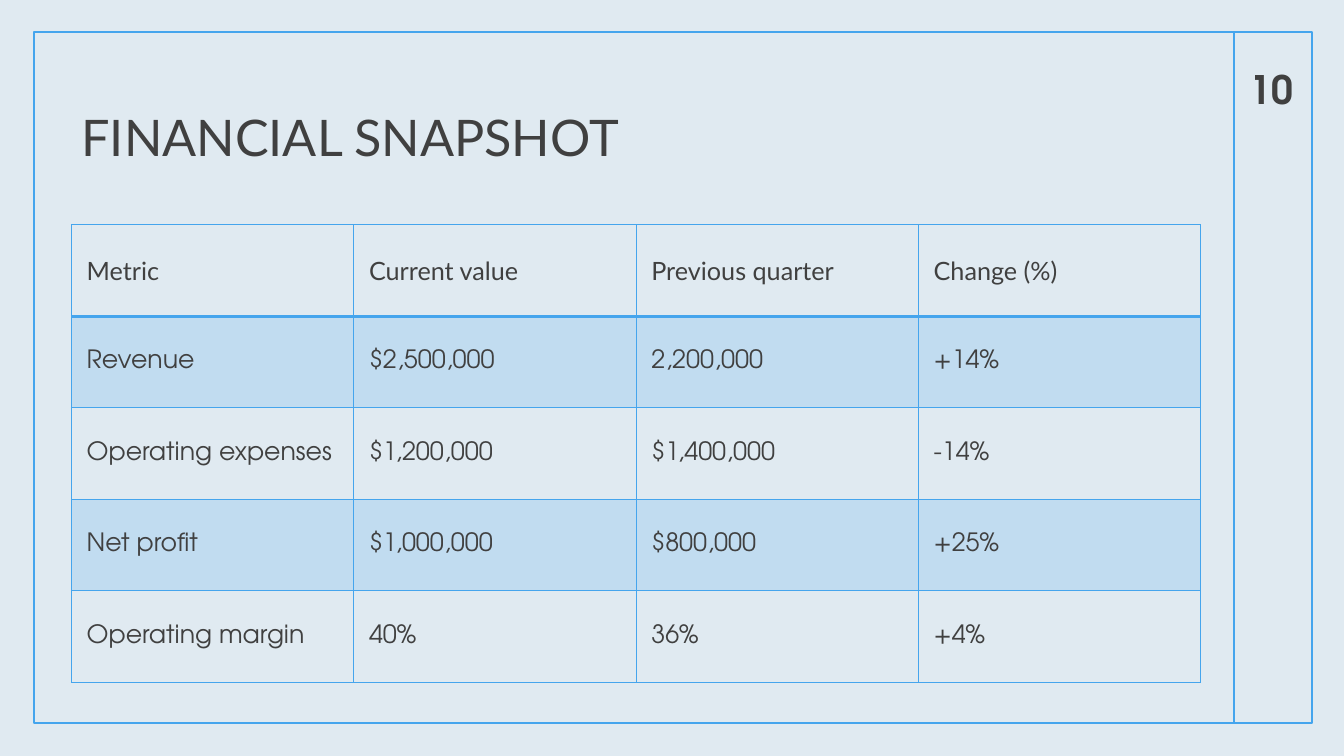
"""Build the financial snapshot slide with its framed quarterly table."""
from lxml import etree
from pptx import Presentation
from pptx.dml.color import RGBColor
from pptx.enum import shapes, text
from pptx.oxml import ns
from pptx.util import Inches, Pt

COLORS = {"background": "F2F2F2", "accent": "45A5ED", "text": "404040"}
HEADING_FONT = "Lato"
BODY_FONT = "TeX Gyre Adventor"
METRICS = [
    ["Metric", "Current value", "Previous quarter", "Change (%)"],
    ["Revenue", "$2,500,000", "2,200,000", "+14%"],
    ["Operating expenses", "$1,200,000", "$1,400,000", "-14%"],
    ["Net profit", "$1,000,000", "$800,000", "+25%"],
    ["Operating margin", "40%", "36%", "+4%"],
]


def rgb(name):
    return RGBColor.from_string(COLORS[name])


def fill_tint(fill, percent):
    fill.solid()
    fill.fore_color.rgb = rgb("accent")
    color = fill._xPr.find(".//" + ns.qn("a:srgbClr"))
    etree.SubElement(color, ns.qn("a:alpha"), val=str(percent * 1000))


def style_line(line):
    line.color.rgb = rgb("accent")
    line.width = Pt(1.25)


def style_text(text_frame, font_name, size, bold=False):
    for paragraph in text_frame.paragraphs:
        for run in paragraph.runs:
            run.font.name = font_name
            run.font.size = Pt(size)
            run.font.bold = bold
            run.font.color.rgb = rgb("text")


def add_rectangle(slide, left, top, width, height):
    shape = slide.shapes.add_shape(
        shapes.MSO_SHAPE.RECTANGLE,
        Inches(left), Inches(top), Inches(width), Inches(height))
    shape.shadow.inherit = False
    return shape


def add_frame(slide):
    tint = add_rectangle(slide, 0, 0, 13.33, 7.5)
    fill_tint(tint.fill, 10)
    tint.line.fill.background()
    divider = slide.shapes.add_connector(
        shapes.MSO_CONNECTOR.STRAIGHT,
        Inches(12.24), Inches(0.32), Inches(12.24), Inches(7.17))
    style_line(divider.line)
    etree.SubElement(divider._element.spPr, ns.qn("a:effectLst"))
    border = add_rectangle(slide, 0.34, 0.32, 12.67, 6.85)
    border.fill.background()
    style_line(border.line)


def add_text(slide, words, left, top, width, height, font_name, size,
             anchor, align, bold=False):
    box = slide.shapes.add_textbox(
        Inches(left), Inches(top), Inches(width), Inches(height))
    text_frame = box.text_frame
    text_frame.word_wrap = True
    text_frame.vertical_anchor = anchor
    text_frame.text = words
    text_frame.paragraphs[0].alignment = align
    style_text(text_frame, font_name, size, bold)


def set_borders(cell, bottom_width):
    properties = cell._tc.get_or_add_tcPr()
    widths = {"lnL": 1, "lnR": 1, "lnT": 1, "lnB": bottom_width}
    for position, (side, width) in enumerate(widths.items()):
        line = etree.Element(ns.qn("a:" + side), w=str(Pt(width)))
        solid = etree.SubElement(line, ns.qn("a:solidFill"))
        etree.SubElement(solid, ns.qn("a:srgbClr"), val=COLORS["accent"])
        properties.insert(position, line)


def fill_cell(cell, words, row):
    cell.text_frame.text = words
    style_text(cell.text_frame, BODY_FONT if row else HEADING_FONT, 18)
    cell.vertical_anchor = text.MSO_ANCHOR.MIDDLE
    cell.margin_left = Inches(0.15)
    if row % 2:
        fill_tint(cell.fill, 20)
    else:
        cell.fill.background()
    set_borders(cell, 1 if row else 2)


def add_metrics_table(slide):
    table = slide.shapes.add_table(
        len(METRICS), len(METRICS[0]),
        Inches(0.71), Inches(2.23), Inches(11.2), Inches(4.54)).table
    for row, values in enumerate(METRICS):
        for column, words in enumerate(values):
            fill_cell(table.cell(row, column), words, row)


def main():
    presentation = Presentation()
    presentation.slide_width = Inches(13.33)
    presentation.slide_height = Inches(7.5)
    slide = presentation.slides.add_slide(presentation.slide_layouts[6])
    slide.background.fill.solid()
    slide.background.fill.fore_color.rgb = rgb("background")
    add_frame(slide)
    add_text(slide, "FINANCIAL SNAPSHOT", 0.71, 0.67, 11.2, 1.36, HEADING_FONT,
             36, text.MSO_ANCHOR.MIDDLE, text.PP_ALIGN.LEFT)
    add_metrics_table(slide)
    add_text(slide, "10", 12.15, 0.32, 0.92, 0.84, BODY_FONT,
             28, text.MSO_ANCHOR.BOTTOM, text.PP_ALIGN.CENTER, bold=True)
    presentation.save("out.pptx")


if __name__ == "__main__":
    main()
